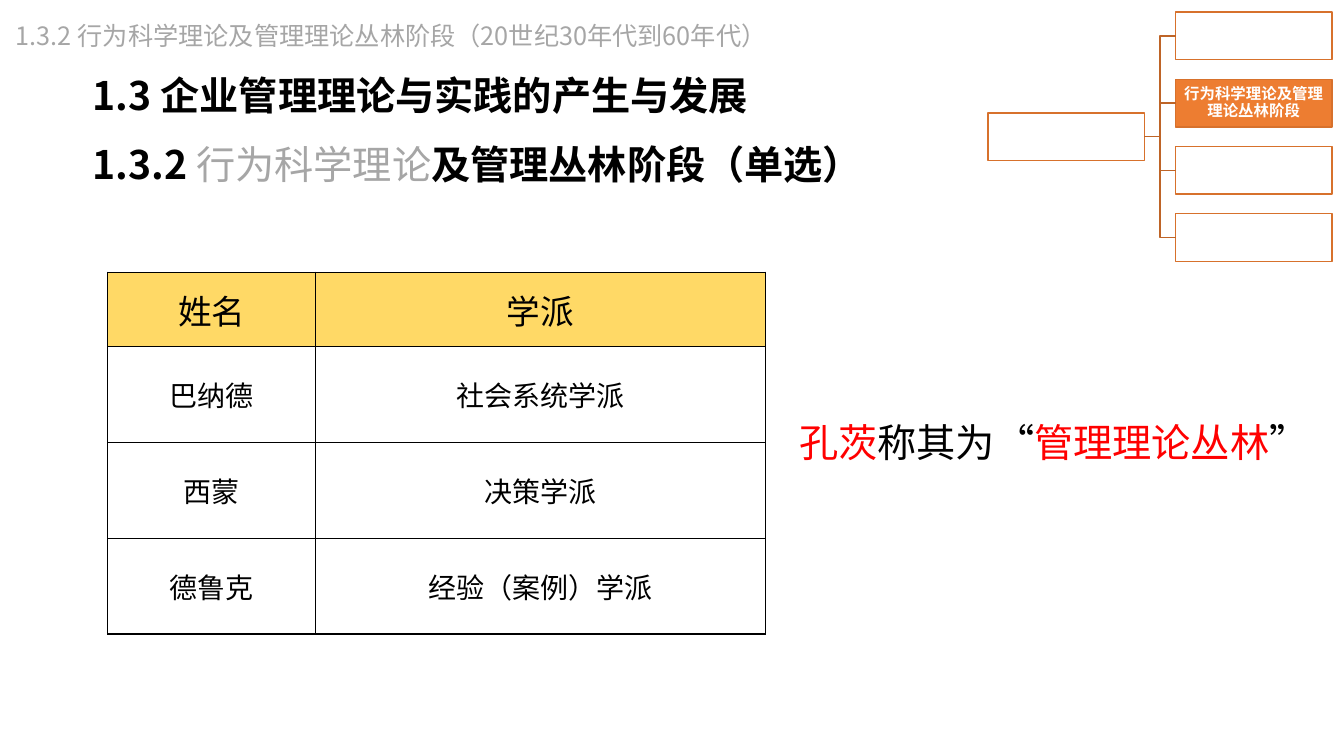
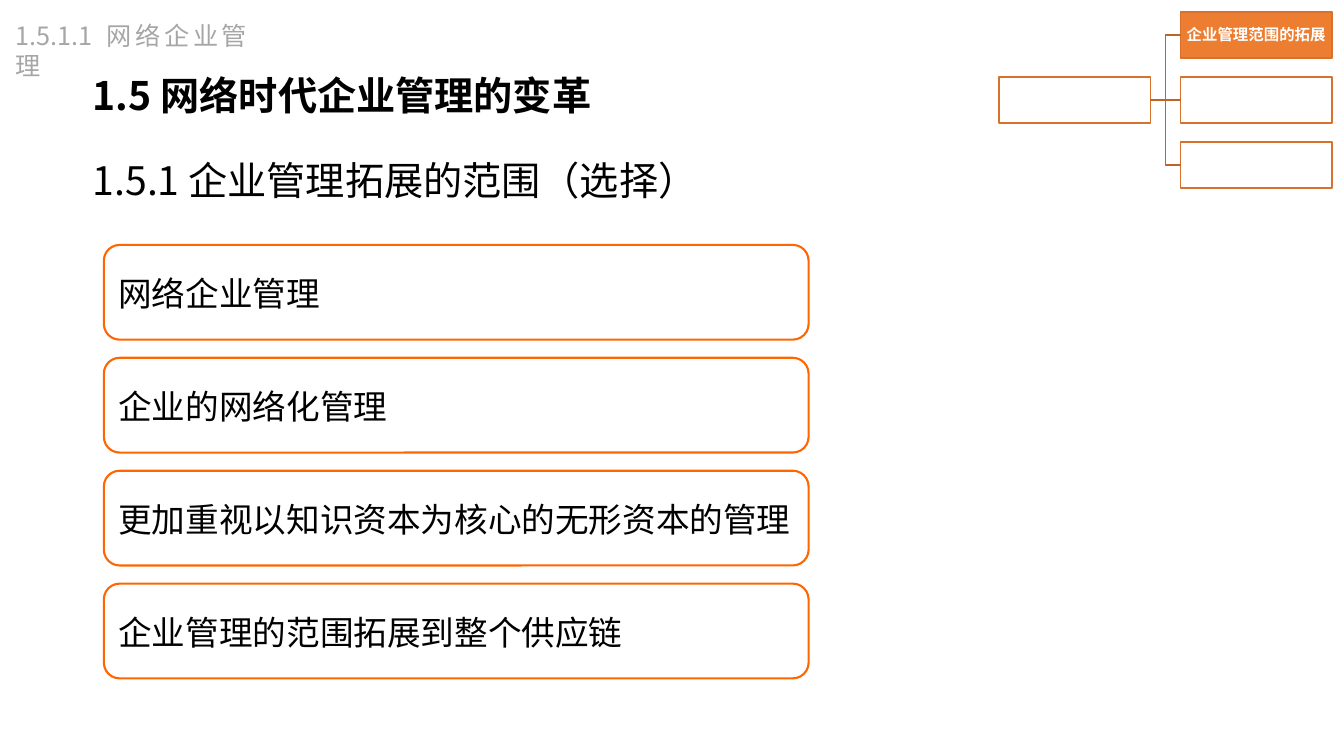
from lxml.etree import SubElement
from pptx import Presentation
from pptx.dml.color import RGBColor
from pptx.enum.shapes import MSO_CONNECTOR, MSO_SHAPE
from pptx.enum.text import MSO_ANCHOR, MSO_AUTO_SIZE, PP_ALIGN
from pptx.oxml.ns import qn
from pptx.util import Inches, Pt

BLACK = RGBColor(0x00, 0x00, 0x00)
WHITE = RGBColor(0xFF, 0xFF, 0xFF)
GRAY = RGBColor(0xA6, 0xA6, 0xA6)
RED = RGBColor(0xFF, 0x00, 0x00)
GOLD = RGBColor(0xFF, 0xD9, 0x66)
ORANGE = RGBColor(0xED, 0x7D, 0x31)
NODE_LINE = RGBColor(0xD7, 0x71, 0x2C)
BRANCH_LINE = RGBColor(0xBE, 0x64, 0x27)
CARD_LINE = RGBColor(0xFF, 0x66, 0x00)

SANS = "Noto Sans CJK SC"
TABLE_FONT = "Noto Sans CJK JP"
NOTE_FONT = "Calibri"
HEADING_INSETS = (0.12, 0.06)
TREE_RIGHT = 13.21
TREE_TOP = 0.12


def write_text(frame, spans, size=28, font=SANS, asian=SANS, color=BLACK, bold=False,
               align=PP_ALIGN.LEFT, anchor=MSO_ANCHOR.TOP, spacing=None, insets=(0.1, 0.05)):
    """Fill a text frame with one paragraph of (text, overrides) spans."""
    frame.word_wrap = True
    frame.auto_size = MSO_AUTO_SIZE.NONE
    frame.vertical_anchor = anchor
    frame.margin_left = frame.margin_right = Inches(insets[0])
    frame.margin_top = frame.margin_bottom = Inches(insets[1])
    para = frame.paragraphs[0]
    para.alignment = align
    if spacing is not None:
        para.line_spacing = spacing
    for text, changes in [(spans, {})] if isinstance(spans, str) else spans:
        span = para.add_run()
        span.text = text
        span.font.size = Pt(size)
        span.font.bold = changes.get("bold", bold)
        span.font.color.rgb = changes.get("color", color)
        span.font.name = font
        SubElement(span.font._element, qn("a:ea")).set("typeface", asian)


def add_text(page, box, spans, **style):
    """Add a text box at (left, top, width, height)."""
    shape = page.shapes.add_textbox(*map(Inches, box))
    write_text(shape.text_frame, spans, **style)


def add_panel(page, kind, box, line, width, fill=None):
    """Add an outlined preset shape."""
    panel = page.shapes.add_shape(kind, *map(Inches, box))
    panel.shadow.inherit = False
    if fill is None:
        panel.fill.background()
    else:
        panel.fill.solid()
        panel.fill.fore_color.rgb = fill
    panel.line.color.rgb = line
    panel.line.width = Pt(width)
    return panel


def start_page(deck, title, breadcrumb, breadcrumb_width):
    """Add a slide with the shared title and breadcrumb."""
    page = deck.slides.add_slide(deck.slide_layouts[5])
    heading = page.shapes.title
    heading.left, heading.top = Inches(0.8), Inches(0.65)
    heading.width, heading.height = Inches(11.45), Inches(0.59)
    write_text(heading.text_frame, title, bold=True, insets=HEADING_INSETS)
    add_text(page, (0.06, 0.15, breadcrumb_width, 0.4), breadcrumb,
             size=18, color=GRAY, align=PP_ALIGN.JUSTIFY)
    return page


def add_branch(page, root, leaf):
    """Join the root's right side to a leaf's left side."""
    level = abs(root.top - leaf.top) < Inches(0.01)
    kind = MSO_CONNECTOR.STRAIGHT if level else MSO_CONNECTOR.ELBOW
    branch = page.shapes.add_connector(kind, 0, 0, 0, 0)
    branch.begin_connect(root, 3)
    branch.end_connect(leaf, 1)
    branch.line.color.rgb = BRANCH_LINE
    branch.line.width = Pt(1)
    SubElement(branch._element.spPr, qn("a:effectLst"))


def add_tree(page, node_width, labels):
    """Add the corner tree, highlighting the labelled leaf."""
    height, pitch, gap = (node_width * ratio for ratio in (0.305, 0.43, 0.2))
    leaf_left = TREE_RIGHT - node_width
    root_top = TREE_TOP + pitch * (len(labels) - 1) / 2
    root = add_panel(page, MSO_SHAPE.RECTANGLE,
                     (leaf_left - gap - node_width, root_top, node_width, height),
                     NODE_LINE, 1, WHITE)
    for index, label in enumerate(labels):
        leaf = add_panel(page, MSO_SHAPE.RECTANGLE,
                         (leaf_left, TREE_TOP + index * pitch, node_width, height),
                         NODE_LINE, 1, ORANGE if label else WHITE)
        if label:
            write_text(leaf.text_frame, label, size=11, color=WHITE, bold=True,
                       align=PP_ALIGN.CENTER, anchor=MSO_ANCHOR.MIDDLE,
                       spacing=0.9, insets=(0.01, 0.01))
        add_branch(page, root, leaf)


def add_borders(cell):
    """Draw thin black borders around a table cell."""
    properties = cell._tc.get_or_add_tcPr()
    for side in ("a:lnL", "a:lnR", "a:lnT", "a:lnB"):
        border = SubElement(properties, qn(side), w=str(Pt(1)))
        fill = SubElement(border, qn("a:solidFill"))
        SubElement(fill, qn("a:srgbClr"), val=str(BLACK))


def add_school_table(page, left, top, rows):
    """Add the table of scholars and schools."""
    widths, heights = (2.06, 4.46), (0.74, 0.95, 0.95, 0.95)
    box = (left, top, sum(widths), sum(heights))
    table = page.shapes.add_table(len(rows), len(widths), *map(Inches, box)).table
    table.first_row = table.horz_banding = False
    for column, width in zip(table.columns, widths):
        column.width = Inches(width)
    for row_index, (names, height) in enumerate(zip(rows, heights)):
        table.rows[row_index].height = Inches(height)
        for column_index, name in enumerate(names):
            cell = table.cell(row_index, column_index)
            add_borders(cell)
            if row_index == 0:
                cell.fill.solid()
                cell.fill.fore_color.rgb = GOLD
            else:
                cell.fill.background()
            cell.vertical_anchor = MSO_ANCHOR.MIDDLE
            write_cell(cell, name, 24 if row_index == 0 else 20)


def write_cell(cell, text, size):
    """Write centred text in a table cell."""
    write_text(cell.text_frame, text, size=size, font=TABLE_FONT, asian=TABLE_FONT,
               align=PP_ALIGN.CENTER, anchor=MSO_ANCHOR.MIDDLE)


def add_cards(page, box, pitch, labels):
    """Stack rounded cards downward from the first card's box."""
    left, top, width, height = box
    for index, label in enumerate(labels):
        card = add_panel(page, MSO_SHAPE.ROUNDED_RECTANGLE,
                         (left, top + index * pitch, width, height), CARD_LINE, 1.5)
        write_text(card.text_frame, label, size=24, anchor=MSO_ANCHOR.MIDDLE,
                   spacing=Pt(30))


def build_schools_page(deck):
    """Build the slide on behavioural science and the management jungle."""
    page = start_page(deck, "1.3 企业管理理论与实践的产生与发展",
                      "1.3.2 行为科学理论及管理理论丛林阶段（20世纪30年代到60年代）", 7.71)
    add_text(page, (0.8, 1.33, 12.16, 0.59),
             [("1.3.2 ", {}), ("行为科学理论", {"color": GRAY, "bold": False}),
              ("及管理丛林阶段（单选）", {})], bold=True, insets=HEADING_INSETS)
    add_school_table(page, 1.07, 2.7, [("姓名", "学派"), ("巴纳德", "社会系统学派"),
                                       ("西蒙", "决策学派"), ("德鲁克", "经验（案例）学派")])
    add_tree(page, 1.55, ["", "行为科学理论及管理理论丛林阶段", "", ""])
    add_text(page, (7.83, 4.1, 5.31, 0.57),
             [("孔茨", {"color": RED}), ("称其为“", {}),
              ("管理理论丛林", {"color": RED}), ("”", {})], font=NOTE_FONT)


def build_network_page(deck):
    """Build the slide on management in the network age."""
    page = start_page(deck, "1.5 网络时代企业管理的变革", "1.5.1.1 网络企业管理", 2.49)
    add_text(page, (0.8, 1.15, 12.16, 1.04), "1.5.1 企业管理拓展的范围（选择）",
             anchor=MSO_ANCHOR.MIDDLE, spacing=1.5, insets=HEADING_INSETS)
    add_cards(page, (1.03, 2.43, 6.99, 0.94), 1.12,
              ["网络企业管理", "企业的网络化管理",
               "更加重视以知识资本为核心的无形资本的管理", "企业管理的范围拓展到整个供应链"])
    add_tree(page, 1.5, ["企业管理范围的拓展", "", ""])


def main():
    """Build and save the deck."""
    deck = Presentation()
    deck.slide_width, deck.slide_height = Inches(13.33), Inches(7.5)
    build_schools_page(deck)
    build_network_page(deck)
    deck.save("out.pptx")


if __name__ == "__main__":
    main()
